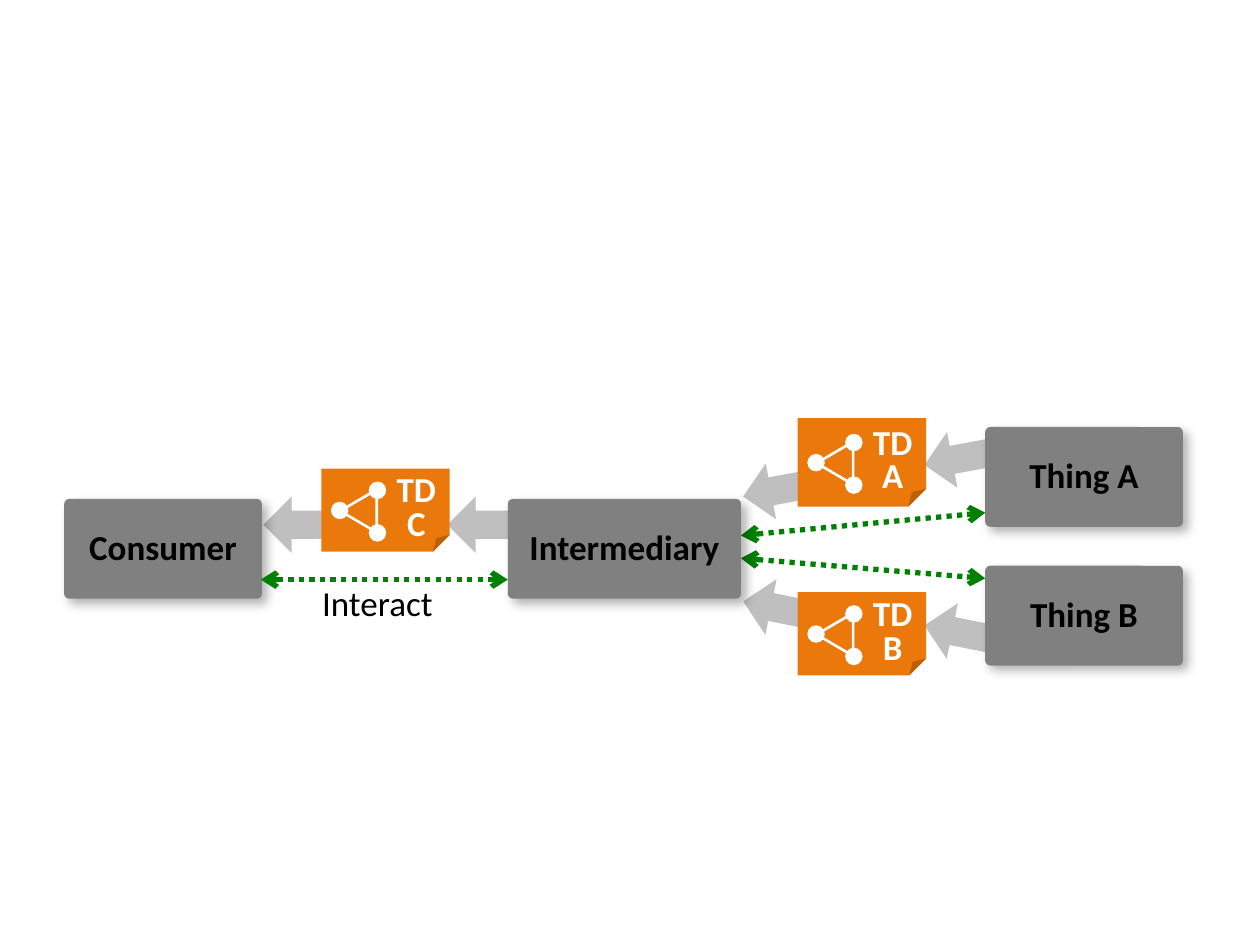
"""Build a slide where an intermediary relays two things to a consumer."""
from lxml import etree
from pptx import Presentation
from pptx.dml.color import RGBColor
from pptx.enum import dml, shapes, text
from pptx.oxml import ns
from pptx.util import Pt

KIND = shapes.MSO_SHAPE
THEME = {
    "font": "Calibri", "size": 20,
    "box": "808080", "arrow": "BFBFBF", "card": "EB780A",
    "link": "008000", "ink": "000000", "light": "FFFFFF",
}

BOXES = [
    ("Consumer", 36.7, 285.1, 113),
    ("Thing A", 563, 244, 113),
    ("Thing B", 563, 323.3, 113),
    ("Intermediary", 290.2, 285.1, 133.2),
]
ARROWS = [
    (164.2, 270, 90), (269.3, 270, 90),
    (437.8, 248.4, 79.5), (437.8, 319.7, 101.4),
    (541.4, 230.4, 79.5), (541.4, 333.4, 101.4),
]
LINKS = [
    (423.4, 306, 563, 293), (423.4, 319, 563, 330.5),
    (149, 331.2, 290.2, 331.2),
]
CARDS = [("A", 455.8, 240.5, 1.5), ("B", 455.8, 338.4, 0), ("C", 183.6, 267.8, 0)]
NODES = [(27.1, 7.4), (5.5, 18.9), (27.1, 31.7)]


def tint(name):
    return RGBColor.from_string(THEME[name])


def sub(root, tag, **attrs):
    return etree.SubElement(root, ns.qn(tag), attrs)


def draw(home, kind, x, y, w, h, fill=None, line=None, adj=None, turn=0):
    shape = home.add_shape(kind, Pt(x), Pt(y), Pt(w), Pt(h))
    shape.rotation = turn
    if adj is not None:
        form = shape._element.spPr.find(ns.qn("a:prstGeom"))
        for old in list(form):
            form.remove(old)
        sub(sub(form, "a:avLst"), "a:gd", name="adj", fmla=f"val {round(adj * 100000)}")
    if fill:
        shape.fill.solid()
        shape.fill.fore_color.rgb = tint(fill)
    else:
        shape.fill.background()
    if line:
        shape.line.color.rgb = tint(line)
        shape.line.width = Pt(1.5)
    else:
        shape.line.fill.background()
    shape.shadow.inherit = False
    return shape


def write(shape, words, color="ink", bold=True, gap=None, mid=True, pads=(7.2, 3.6, 7.2, 3.6)):
    frame = shape.text_frame
    frame.text = words
    frame.word_wrap = False
    frame.vertical_anchor = text.MSO_ANCHOR.MIDDLE if mid else text.MSO_ANCHOR.TOP
    frame.margin_left, frame.margin_top, frame.margin_right, frame.margin_bottom = map(Pt, pads)
    for para in frame.paragraphs:
        para.alignment = text.PP_ALIGN.CENTER
        para.line_spacing = gap
        font = para.runs[0].font
        font.name, font.size, font.bold = THEME["font"], Pt(THEME["size"]), bold
        font.color.rgb = tint(color)


def label(home, words, x, y, w, h, **style):
    write(home.add_textbox(Pt(x), Pt(y), Pt(w), Pt(h)), words, **style)


def box(home, name, x, y, w):
    shape = draw(home, KIND.ROUNDED_RECTANGLE, x, y, w, 57, "box", adj=0.05)
    glow = shape._element.spPr.find(ns.qn("a:effectLst"))
    shade = sub(glow, "a:outerShdw", blurRad=str(Pt(6)), dist=str(Pt(4)),
                dir="2700000", algn="tl", rotWithShape="0")
    sub(sub(shade, "a:srgbClr", val=THEME["ink"]), "a:alpha", val="30000")
    write(shape, name, pads=(7.2, 2.9, 7.2, 5.8))


def link(home, *ends):
    wire = home.add_connector(shapes.MSO_CONNECTOR.STRAIGHT, *map(Pt, ends))
    wire.line.color.rgb = tint("link")
    wire.line.width = Pt(3)
    wire.line.dash_style = dml.MSO_LINE.ROUND_DOT
    props = wire._element.spPr
    for tag in ("a:headEnd", "a:tailEnd"):
        sub(props.find(ns.qn("a:ln")), tag, type="arrow")
    sub(props, "a:effectLst")


def card(home, name, x, y, rise):
    group = home.add_group_shape().shapes
    draw(group, KIND.FOLDED_CORNER, x, y - rise, 73.4, 47.5 + 2 * rise, "card", adj=0.202)
    draw(group, KIND.ISOSCELES_TRIANGLE, x + 9, y + 13.7, 24.5, 20.9, line="light", turn=270)
    for dx, dy in NODES:
        draw(group, KIND.OVAL, x + dx, y + dy, 10, 10, "light")
    label(group, "TD\n" + name, x + 35.6, y, 37.4, 46.8, color="light", gap=0.8)


def main():
    deck = Presentation()
    deck.slide_width, deck.slide_height = Pt(720), Pt(540)
    home = deck.slides.add_slide(deck.slide_layouts[6]).shapes
    for x, y, turn in ARROWS:
        draw(home, KIND.DOWN_ARROW, x, y, 32.4, 59.8, "arrow", turn=turn)
    box(home, *BOXES[0])
    for ends in LINKS:
        link(home, *ends)
    for item in BOXES[1:]:
        box(home, *item)
    for item in CARDS:
        card(home, *item)
    label(home, "Interact", 176.4, 329, 78.5, 31.7, bold=False, mid=False)
    deck.save("out.pptx")


if __name__ == "__main__":
    main()
